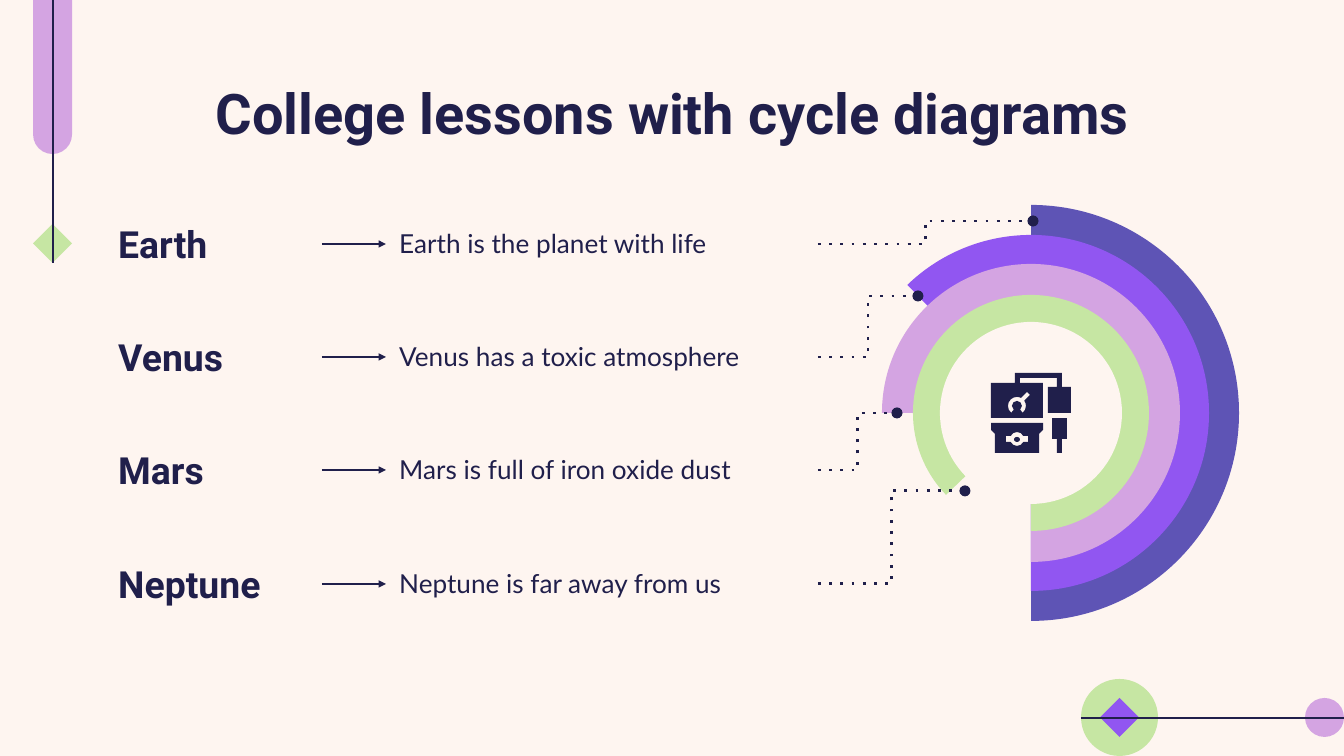
import math
from dataclasses import dataclass

from lxml import etree
from pptx import Presentation
from pptx import util as u
from pptx.dml.color import RGBColor
from pptx.enum import shapes, text
from pptx.oxml.ns import qn

EMU_PER_PX = 914400 / 134.4


@dataclass(frozen=True)
class Theme:
    paper: str = "FEF5F0"
    ink: str = "201F4B"
    indigo: str = "5E54B5"
    violet: str = "9156F1"
    lilac: str = "D4A4E2"
    green: str = "C6E6A3"
    heading_font: str = "Roboto"
    body_font: str = "Lato"
    title_size: int = 30
    label_size: int = 20
    body_size: int = 14
    line_width: float = 1.5


THEME = Theme()

# Planet, description, and where its dotted leader meets the rings
PLANETS = [
    ("Earth", "Earth is the planet with life", (1033, 221)),
    ("Venus", "Venus has a toxic atmosphere", (918, 296)),
    ("Mars", "Mars is full of iron oxide dust", (897, 413)),
    ("Neptune", "Neptune is far away from us", (965, 491)),
]
# Radius, start angle (clockwise from the top) and colour, outermost first
RINGS = [
    (208, 0, THEME.indigo),
    (178, -44, THEME.violet),
    (149, -90, THEME.lilac),
    (118, -134, THEME.green),
]
CENTRE = (1031, 413)
HOLE_RADIUS = 91


def px(value):
    return u.Emu(round(value * EMU_PER_PX))


def paint(shape, colour):
    shape.shadow.inherit = False
    shape.fill.solid()
    shape.fill.fore_color.rgb = RGBColor.from_string(colour)
    shape.line.fill.background()
    return shape


def add_preset(parent, kind, box, colour):
    return paint(parent.add_shape(kind, *map(px, box)), colour)


def add_outline(parent, colour, *contours):
    """Fill closed contours of (x, y) corners and (x1, y1, x2, y2, x, y) curves.

    A second contour cuts a hole in the first.
    """
    builder = None
    for contour in contours:
        corners = [(px(step[-2]), px(step[-1])) for step in contour]
        if builder is None:
            builder = parent.build_freeform(*corners[0])
        else:
            builder.move_to(*corners[0])
        # An explicit return to the start keeps one segment per step
        builder.add_line_segments(corners[1:] + corners[:1], close=True)
    outline = paint(builder.convert_to_shape(), colour)
    bend_segments(outline, [step for c in contours for step in c[1:] + c[:1]])


def bend_segments(outline, steps):
    """Turn the straight segments of curved steps into Bézier segments."""
    segments = list(outline._element.iter(qn("a:lnTo")))
    for segment, step in zip(segments, steps):
        if len(step) == 6:
            curve = etree.Element(qn("a:cubicBezTo"))
            for x, y in zip(step[::2], step[1::2]):
                etree.SubElement(curve, qn("a:pt"), x=str(px(x) - outline.left),
                                 y=str(px(y) - outline.top))
            segment.getparent().replace(segment, curve)


def add_line(parent, start, end, kind=shapes.MSO_CONNECTOR.STRAIGHT,
             dash=None, tip=None, tip_size="med"):
    line = parent.add_connector(kind, *map(px, start + end))
    line.line.width = u.Pt(THEME.line_width)
    line.line.color.rgb = RGBColor.from_string(THEME.ink)
    stroke = line.line._get_or_add_ln()
    if dash:
        etree.SubElement(stroke, qn("a:prstDash"), val=dash)
    if tip:
        etree.SubElement(stroke, qn("a:tailEnd"), type=tip, w=tip_size, len=tip_size)
    etree.SubElement(line._element.spPr, qn("a:effectLst"))


def add_text(parent, words, box, font, size, bold=False,
             align=text.PP_ALIGN.LEFT, anchor=text.MSO_ANCHOR.MIDDLE):
    frame = parent.add_textbox(*map(px, box)).text_frame
    frame.word_wrap = True
    frame.vertical_anchor = anchor
    frame.margin_left = frame.margin_right = u.Inches(0.1)
    frame.margin_top = frame.margin_bottom = u.Inches(0.1)
    frame.text = words
    paragraph = frame.paragraphs[0]
    paragraph.alignment = align
    style = paragraph.runs[0].font
    style.name, style.size, style.bold = font, u.Pt(size), bold
    style.color.rgb = RGBColor.from_string(THEME.ink)


def arc(centre, radius, start, end):
    """A corner, then one curve per quadrant; degrees clockwise from the top."""
    low, high = sorted((start, end))
    stops = sorted({low, high, *(q for q in range(-180, 181, 90) if low < q < high)},
                   reverse=start > end)
    x0, y0 = centre

    def point(angle, pull=0):
        s, c = math.sin(math.radians(angle)), math.cos(math.radians(angle))
        return x0 + radius * (s + pull * c), y0 - radius * (c - pull * s)

    steps = [point(start)]
    for a, b in zip(stops, stops[1:]):
        pull = 4 / 3 * math.tan(math.radians(b - a) / 4)
        steps.append(point(a, pull) + point(b, -pull) + point(b))
    return steps


def add_decorations(slide):
    kinds = shapes.MSO_SHAPE
    trim = slide.shapes.add_group_shape().shapes
    # Bottom right
    add_preset(trim, kinds.OVAL, (1081, 679, 77, 77), THEME.green)
    add_preset(trim, kinds.DIAMOND, (1100, 698, 39, 39), THEME.violet)
    add_preset(trim, kinds.OVAL, (1305, 698, 39, 39), THEME.lilac)
    add_line(trim, (1081, 718), (1344, 718))
    # Top left
    bar = add_preset(trim, kinds.ROUNDED_RECTANGLE, (-38, 44, 181, 39), THEME.lilac)
    bar.adjustments[0] = 0.5
    bar.rotation = 90
    add_preset(trim, kinds.DIAMOND, (33, 224, 39, 39), THEME.green)
    add_line(trim, (53, 0), (53, 263))


def add_rings(slide):
    for radius, start, colour in RINGS:
        add_outline(slide.shapes, colour, [CENTRE] + arc(CENTRE, radius, start, 180))
    x, y = CENTRE
    add_preset(slide.shapes, shapes.MSO_SHAPE.OVAL,
               (x - HOLE_RADIUS, y - HOLE_RADIUS, 2 * HOLE_RADIUS, 2 * HOLE_RADIUS),
               THEME.paper)


def add_machine_icon(slide):
    icon = slide.shapes.add_group_shape().shapes
    # Linked boxes with a wrench cut out
    boxes = [(1062, 387), (1062, 373), (1015, 373), (1015, 383), (991, 383), (991, 418),
             (1043, 418), (1043, 383), (1020, 383), (1020, 378), (1057, 378), (1057, 387),
             (1048, 387), (1048, 413), (1071, 413), (1071, 387)]
    jaw = (1017, 406)
    wrench = ([(1021, 398), (1027, 392), (1030, 395)] + arc(jaw, 9, 55, 140)
              + arc(jaw, 5, 140, -140) + arc(jaw, 9, -140, 20))
    add_outline(icon, THEME.ink, boxes, wrench)
    # Drill bit
    add_outline(icon, THEME.ink,
                [(1052, 439), (1057, 439), (1057, 453), (1062, 453),
                 (1062, 439), (1067, 439), (1067, 418), (1052, 418)])
    # Base with a valve cut out
    base = [(991, 430), (995, 434), (995, 453), (1039, 453),
            (1039, 434), (1043, 430), (1043, 423), (991, 423)]
    hub = (1017, 439)
    valve = ([(1006, 436)] + arc(hub, 7, -65, 65) + [(1028, 436), (1028, 442)]
             + arc(hub, 7, 115, 180) + arc(hub, 7, -180, -115)[1:] + [(1006, 442)])
    add_outline(icon, THEME.ink, base, valve)
    add_preset(icon, shapes.MSO_SHAPE.OVAL, (1014, 437, 6, 5), THEME.ink)


def add_planet_row(slide, index, planet, description, target):
    y = 244 + 340 * index // 3
    add_text(slide.shapes, description, (386, y - 30, 432, 59),
             THEME.body_font, THEME.body_size)
    add_text(slide.shapes, planet, (105, y - 41, 217, 82),
             THEME.heading_font, THEME.label_size, bold=True)
    add_line(slide.shapes, (322, y), (386, y), tip="triangle", tip_size="sm")
    add_line(slide.shapes, (818, y), target, shapes.MSO_CONNECTOR.ELBOW, "dot", "oval")


def main():
    deck = Presentation()
    deck.slide_width, deck.slide_height = px(1344), px(756)
    slide = deck.slides.add_slide(deck.slide_layouts[6])
    slide.background.fill.solid()
    slide.background.fill.fore_color.rgb = RGBColor.from_string(THEME.paper)

    add_decorations(slide)
    add_rings(slide)
    add_machine_icon(slide)
    add_text(slide.shapes, "College lessons with cycle diagrams", (106, 65, 1133, 85),
             THEME.heading_font, THEME.title_size, bold=True,
             align=text.PP_ALIGN.CENTER, anchor=text.MSO_ANCHOR.TOP)
    for index, row in enumerate(PLANETS):
        add_planet_row(slide, index, *row)

    deck.save("out.pptx")


if __name__ == "__main__":
    main()
